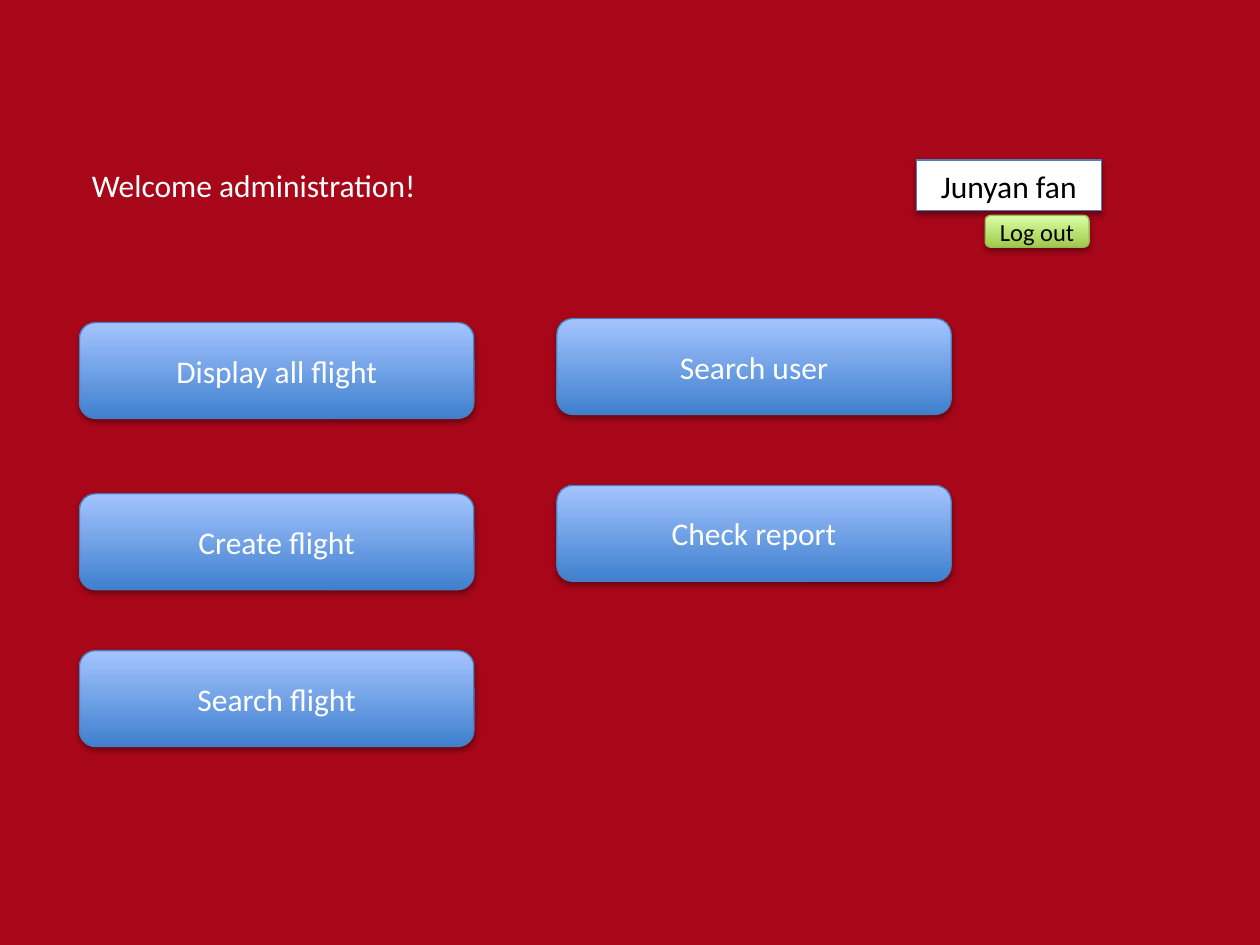
from dataclasses import dataclass

from lxml import etree
from pptx import Presentation
from pptx.dml.color import RGBColor
from pptx.enum.shapes import MSO_SHAPE
from pptx.enum.text import MSO_ANCHOR, MSO_AUTO_SIZE, PP_ALIGN
from pptx.oxml.ns import qn
from pptx.util import Pt

RECT, ROUNDED = MSO_SHAPE.RECTANGLE, MSO_SHAPE.ROUNDED_RECTANGLE
CENTER, MIDDLE = PP_ALIGN.CENTER, MSO_ANCHOR.MIDDLE
FIT_SHAPE = MSO_AUTO_SIZE.SHAPE_TO_FIT_TEXT

COLORS = {
    "background": "A70719",
    "white": "FFFFFF",
    "black": "000000",
    "blue_dark": "3F80CE",
    "blue_light": "A4C4FF",
    "blue_line": "4B7EBC",
    "green_dark": "A0CA4A",
    "green_light": "DAFFA5",
    "green_line": "98B955",
}

HEADER_TOP, HEADER_HEIGHT = 91.4, 29.1
LEFT_COLUMN, RIGHT_COLUMN = 45.4, 318.2
MENU_WIDTH, MENU_HEIGHT = 225.4, 54.8


@dataclass
class Button:
    text: str
    left: float
    top: float
    width: float = MENU_WIDTH
    height: float = MENU_HEIGHT
    preset: MSO_SHAPE = ROUNDED
    fill: tuple[str, ...] = ("blue_dark", "blue_light")  # bottom to top
    line: str = "blue_line"
    text_color: str = "white"
    size: float = 18


BUTTONS = [
    Button("Display all flight", LEFT_COLUMN, 184.3),
    Button("Create flight", LEFT_COLUMN, 282.2),
    Button("Search flight", LEFT_COLUMN, 371.8),
    Button("Search user", RIGHT_COLUMN, 182),
    Button("Check report", RIGHT_COLUMN, 277.4),
    Button("Junyan fan", 523.6, HEADER_TOP, 105.8, HEADER_HEIGHT, RECT,
           ("white",), text_color="black"),
    Button("Log out", 563, 123.1, 59.4, 18.2, ROUNDED,
           ("green_dark", "green_light"), "green_line", "black", 14),
]


def rgb(name: str) -> RGBColor:
    return RGBColor.from_string(COLORS[name])


def write_text(tf, text: str, size: float, color: str) -> None:
    p = tf.paragraphs[0]
    r = p.add_run()
    r.text = text
    for key, value in {"name": "Calibri", "size": Pt(size)}.items():
        setattr(r.font, key, value)
    r.font.color.rgb = rgb(color)


def set_fill(fill, names: tuple[str, ...]) -> None:
    """Fill with one colour, or with two as a gradient running upwards."""
    if len(names) == 1:
        fill.solid()
        fill.fore_color.rgb = rgb(names[0])
        return
    fill.gradient()
    fill.gradient_angle = 90
    for position, (stop, name) in enumerate(zip(fill.gradient_stops, names)):
        stop.position = position
        stop.color.rgb = rgb(name)


def add_shadow(s) -> None:
    """Cast a soft black shadow straight down."""
    s.shadow.inherit = False
    effects = s._element.spPr.find(qn("a:effectLst"))
    shadow = etree.SubElement(
        effects, qn("a:outerShdw"), blurRad=str(Pt(3.15)), dist=str(Pt(1.8)),
        dir="5400000", rotWithShape="0")
    color = etree.SubElement(shadow, qn("a:srgbClr"), val=COLORS["black"])
    etree.SubElement(color, qn("a:alpha"), val="35000")


def add_button(slide, button: Button) -> None:
    s = slide.shapes.add_shape(
        button.preset, Pt(button.left), Pt(button.top),
        Pt(button.width), Pt(button.height))
    set_fill(s.fill, button.fill)
    s.line.color.rgb = rgb(button.line)
    s.line.width = Pt(0.75)
    add_shadow(s)
    tf = s.text_frame
    tf.word_wrap = True
    tf.vertical_anchor = MIDDLE
    tf.paragraphs[0].alignment = CENTER
    write_text(tf, button.text, button.size, button.text_color)


def add_greeting(slide) -> None:
    tf = slide.shapes.add_textbox(
        Pt(LEFT_COLUMN), Pt(HEADER_TOP), Pt(MENU_WIDTH), Pt(HEADER_HEIGHT)).text_frame
    tf.word_wrap = True
    tf.auto_size = FIT_SHAPE
    write_text(tf, "Welcome administration!", 18, "white")


def main() -> None:
    prs = Presentation()
    prs.slide_width, prs.slide_height = Pt(720), Pt(540)
    slide = prs.slides.add_slide(prs.slide_layouts[6])
    set_fill(slide.background.fill, ("background",))
    add_greeting(slide)
    for button in BUTTONS:
        add_button(slide, button)
    prs.save("out.pptx")


if __name__ == "__main__":
    main()
